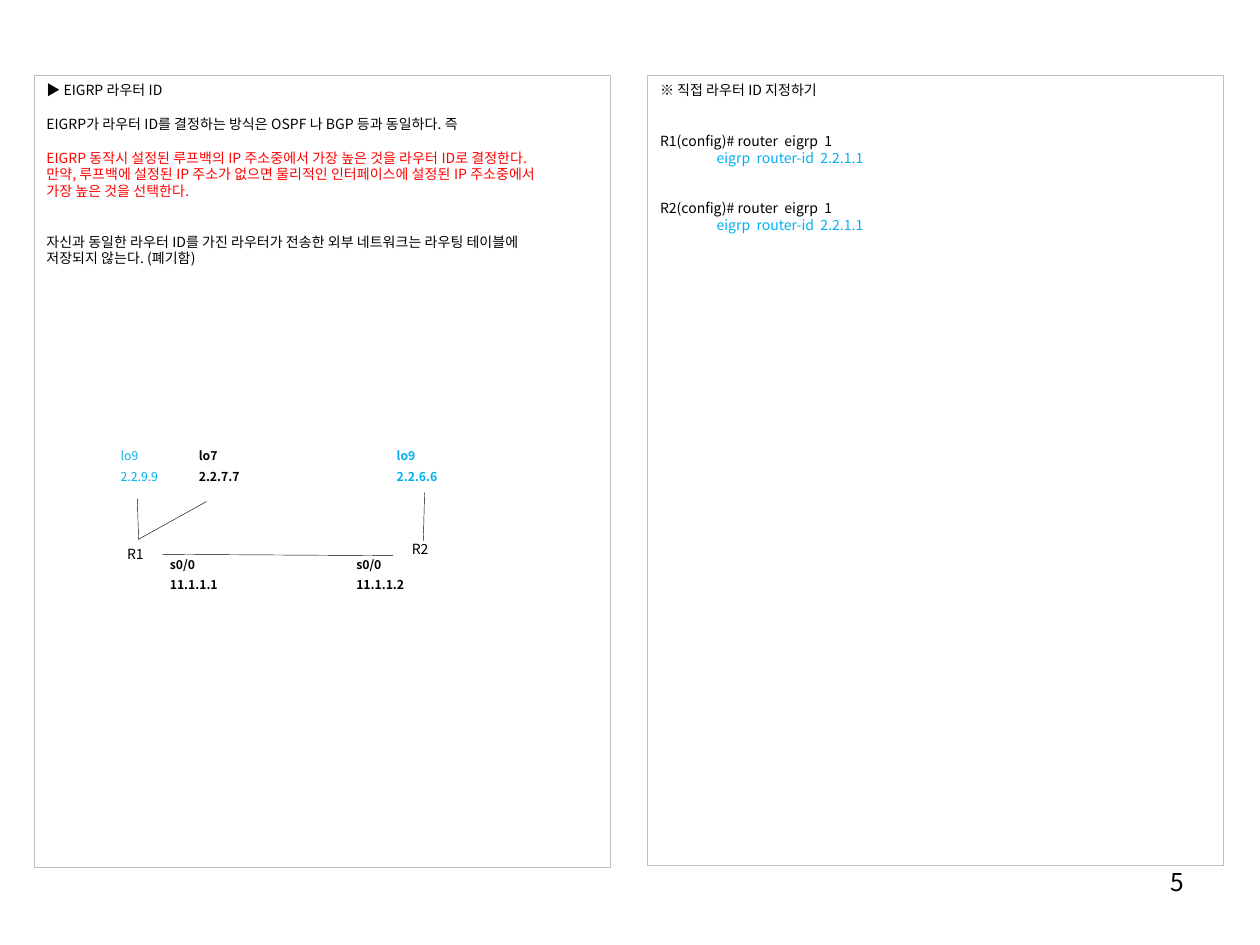
from pptx import Presentation
from pptx.dml.color import RGBColor as RGB
from pptx.enum.shapes import MSO_CONNECTOR as LINE, MSO_SHAPE as SHAPE
from pptx.enum.text import MSO_ANCHOR as ANCHOR, PP_ALIGN as ALIGN
from pptx.oxml.ns import qn
from pptx.util import Inches, Pt
from lxml.etree import SubElement as sub

FONT = "Noto Sans CJK KR"
BLACK, RED, BLUE, GREY = "000000", "FF0000", "00B0F0", "C0C0C0"

deck = Presentation()
deck.slide_width, deck.slide_height = Inches(10), Inches(7.5)
slide = deck.slides.add_slide(deck.slide_layouts[6])
shapes = slide.shapes

# Grid of 100 columns by 75 rows
col, row = deck.slide_width / 100, deck.slide_height / 75


def grid(*spots):
    """Turn pairs of columns and rows into lengths."""
    return [int(n * (row if i % 2 else col)) for i, n in enumerate(spots)]


def write(shape, lines, size, bold=False, align=ALIGN.LEFT):
    """Fill a shape with lines of (points before, colour, text)."""
    frame = shape.text_frame
    frame.word_wrap = True
    frame.vertical_anchor = ANCHOR.TOP
    frame.text = "\n".join(text for _, _, text in lines)
    for para, (gap, tint, _) in zip(frame.paragraphs, lines):
        para.alignment = align
        para.line_spacing = Pt(1.2 * size)
        para.space_before = Pt(gap)
        for run in para.runs:
            font = run.font
            font.name, font.size, font.bold = FONT, Pt(size), bold
            font.color.rgb = RGB.from_string(tint)
            sub(font._element, qn("a:ea"), typeface=FONT)


# Two framed panels of notes; one empty line is 9.6 points
gap = 9.6
notes = [
    (0, BLACK, "▶ EIGRP 라우터 ID"),
    (gap, BLACK, "EIGRP가 라우터 ID를 결정하는 방식은 OSPF 나 BGP 등과 동일하다. 즉"),
    (gap, RED, "EIGRP 동작시 설정된 루프백의 IP 주소중에서 가장 높은 것을 라우터 ID로 결정한다."),
    (0, RED, "만약, 루프백에 설정된 IP 주소가 없으면 물리적인 인터페이스에 설정된 IP 주소중에서"),
    (0, RED, "가장 높은 것을 선택한다."),
    (2 * gap, BLACK, "자신과 동일한 라우터 ID를 가진 라우터가 전송한 외부 네트워크는 라우팅 테이블에"),
    (0, BLACK, "저장되지 않는다. (폐기함)"),
]
setup = [(0, BLACK, "※ 직접 라우터 ID 지정하기")]
for name in ("R1", "R2"):
    setup += [
        (2 * gap, BLACK, f"{name}(config)# router  eigrp  1"),
        (0, BLUE, "                  eigrp  router-id  2.2.1.1"),
    ]
for left, high, lines in ((2.7, 62.8, notes), (51.4, 62.7, setup)):
    panel = shapes.add_shape(SHAPE.RECTANGLE, *grid(left, 6, 45.7, high))
    panel.shadow.inherit = False
    panel.fill.background()
    panel.line.color.rgb = RGB.from_string(GREY)
    panel.line.width = Pt(0.25)
    write(panel, lines, 8)

# Page number
page = shapes.add_textbox(*grid(71.7, 68.3, 23.3, 5.2))
write(page, [(0, BLACK, "5")], 14, align=ALIGN.RIGHT)

# Routers
nodes = {}
for name, left, top in (("R1", 9.1, 42.8), ("R2", 31.7, 42.4)):
    nodes[name] = shapes.add_textbox(*grid(left, top, 3.8, 2.4))
    write(nodes[name], [(0, BLACK, name)], 8)

# Port names with their addresses
ports = [
    (12.5, 43.7, 6.2, "s0/0", "11.1.1.1", BLACK, True),
    (27.3, 43.7, 7, "s0/0", "11.1.1.2", BLACK, True),
    (8.6, 35.1, 5.5, "lo9", "2.2.9.9", BLUE, False),
    (14.8, 35.1, 5.5, "lo7", "2.2.7.7", BLACK, True),
    (30.5, 35.1, 5.5, "lo9", "2.2.6.6", BLUE, True),
]
for left, top, wide, port, addr, tint, bold in ports:
    label = shapes.add_textbox(*grid(left, top, wide, 4))
    write(label, [(0, tint, port), (3.4, tint, addr)], 7, bold)

# Links; the last value is the side of R1 where the link starts
links = [
    (12.9, 44, 31.2, 44.1, 3),
    (11, 42.8, 10.9, 39.6, 0),
    (11, 42.8, 16.4, 39.8, 0),
    (33.6, 42.9, 33.7, 39.1, None),
]
for *ends, side in links:
    link = shapes.add_connector(LINE.STRAIGHT, *grid(*ends))
    if side is not None:
        link.begin_connect(nodes["R1"], side)
    link.line.color.rgb = RGB.from_string(BLACK)
    link.line.width = Pt(0.25)
    sub(link._element.spPr, qn("a:effectLst"))

deck.save("out.pptx")
